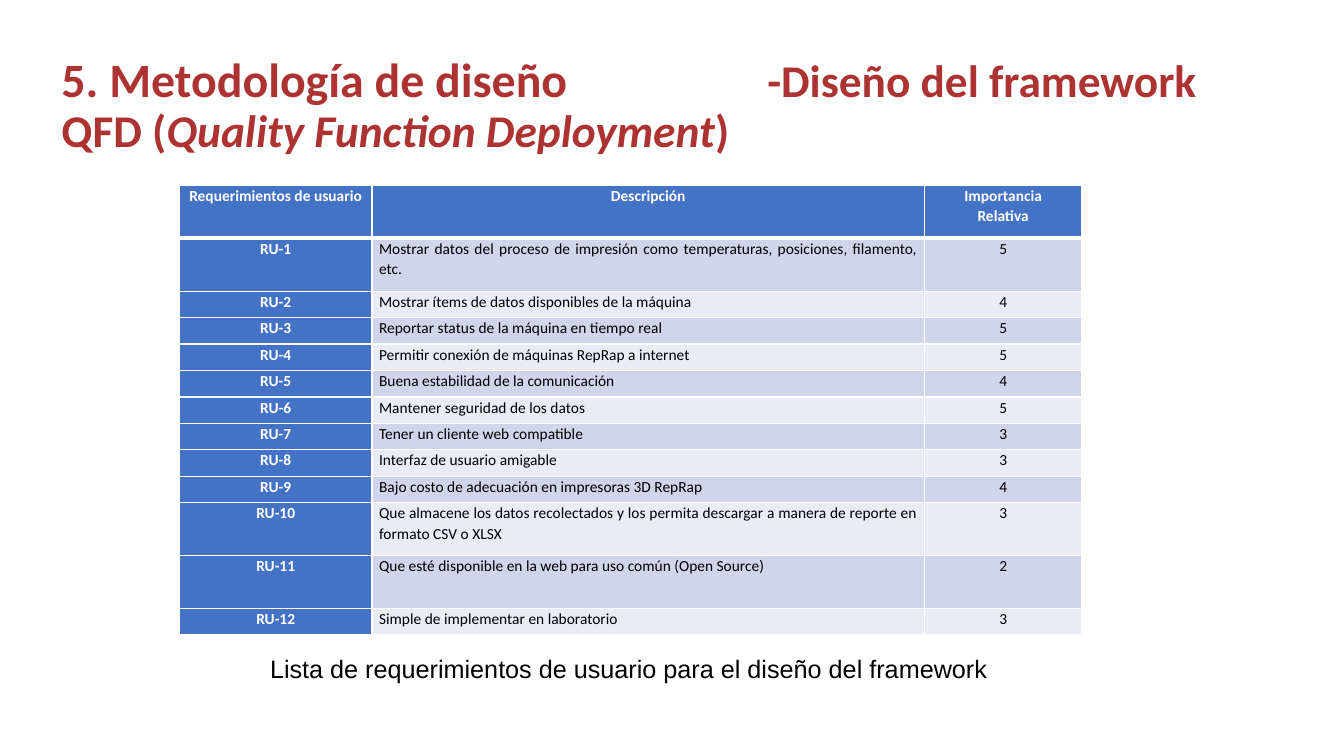
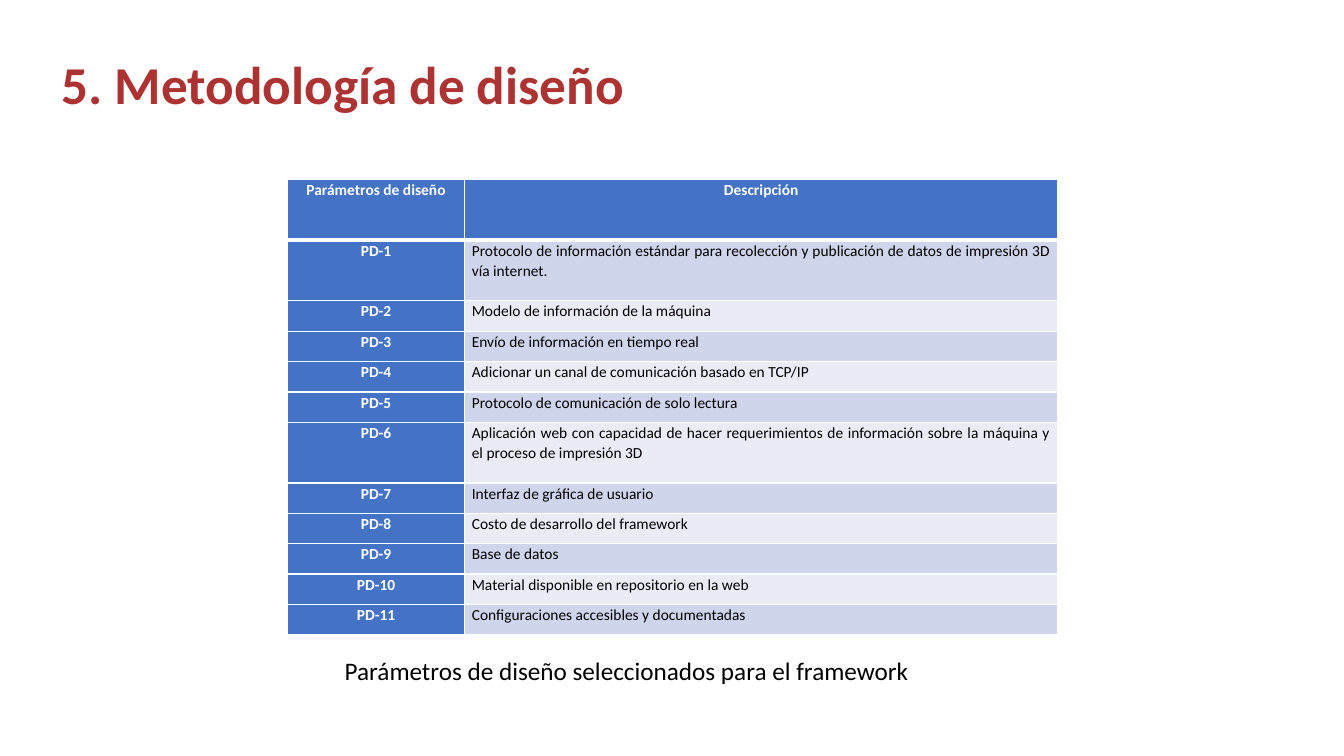
from dataclasses import dataclass

from lxml.etree import SubElement as Sub
from pptx import Presentation
from pptx.dml.color import RGBColor as RGB
from pptx.enum.text import MSO_ANCHOR as Anchor, MSO_AUTO_SIZE as Fit, PP_ALIGN as Align
from pptx.oxml.ns import qn
from pptx.util import Inches, Pt


@dataclass(frozen=True)
class Theme:
    red: str = "AD3333"
    blue: str = "4472C4"
    bands: tuple = ("CFD5EA", "E9EBF5")
    white: str = "FFFFFF"
    black: str = "000000"
    font: str = "Calibri"
    cell: float = 11
    note: float = 18
    thin: float = 1
    thick: float = 3


class Deck:
    def __init__(self, theme):
        self.theme = theme
        self.prs = Presentation()
        self.prs.slide_width = Inches(13.33)
        self.prs.slide_height = Inches(7.5)
        self.slide = None

    def run(self, para, text, size, color, bold=False, italic=False, font=None):
        run = para.add_run()
        run.text = text
        face = run.font
        face.name = font or self.theme.font
        face.size = Pt(size)
        face.bold = bold
        face.italic = italic
        face.color.rgb = RGB.from_string(color)

    def title(self, top, lines, tab=None):
        """Start a slide; each title line is a list of (text, size, italic)."""
        self.slide = self.prs.slides.add_slide(self.prs.slide_layouts[5])
        box = self.slide.shapes.title
        box.left, box.top = Inches(0.51), Inches(top)
        box.width, box.height = Inches(11.5), Inches(0.74)
        frame = box.text_frame
        frame.auto_size = Fit.NONE
        frame.word_wrap = True
        frame.vertical_anchor = Anchor.BOTTOM
        para = frame.paragraphs[0]
        if tab:
            stops = Sub(para._p.get_or_add_pPr(), qn("a:tabLst"))
            Sub(stops, qn("a:tab"), pos=str(Inches(tab)), algn="l")
        para.alignment = Align.LEFT
        para.line_spacing = 0.9
        for i, line in enumerate(lines):
            if i:
                para.add_line_break()
            for text, size, italic in line:
                self.run(para, text, size, self.theme.red, True, italic)

    def note(self, left, top, width, text, font=None):
        box = self.slide.shapes.add_textbox(
            Inches(left), Inches(top), Inches(width), Inches(0.4))
        frame = box.text_frame
        frame.word_wrap = True
        frame.auto_size = Fit.SHAPE_TO_FIT_TEXT
        self.run(frame.paragraphs[0], text, self.theme.note, self.theme.black, font=font)

    def edges(self, cell, row):
        """Draw white borders, thick between the head and the first row."""
        look = self.theme
        wide = {"lnT": row == 1, "lnB": row == 0}
        props = cell._tc.get_or_add_tcPr()
        for side in ("lnL", "lnR", "lnT", "lnB"):
            size = look.thick if wide.get(side) else look.thin
            line = Sub(props, qn(f"a:{side}"), w=str(Pt(size)))
            Sub(Sub(line, qn("a:solidFill")), qn("a:srgbClr"), val=look.white)

    def cell(self, cell, row, col, text):
        look = self.theme
        head = row == 0 or col == 0
        self.edges(cell, row)
        cell.fill.solid()
        cell.fill.fore_color.rgb = RGB.from_string(
            look.blue if head else look.bands[(row - 1) % 2])
        cell.margin_left = cell.margin_right = Inches(0.07)
        cell.margin_top = cell.margin_bottom = 0
        frame = cell.text_frame
        for i, part in enumerate(text.split("\n")):
            para = frame.add_paragraph() if i else frame.paragraphs[0]
            para.alignment = Align.JUSTIFY if col == 1 and not head else Align.CENTER
            para.line_spacing = 1.07
            self.run(para, part, look.cell, look.white if head else look.black, head)

    def table(self, left, top, height, cols, rows, tall):
        """Add a table whose rows listed in tall are twice as high as the rest."""
        unit = height / (len(rows) + len(tall))
        grid = self.slide.shapes.add_table(
            len(rows), len(cols), Inches(left), Inches(top),
            Inches(sum(cols)), Inches(height)).table
        grid.horz_banding = False
        for col, width in zip(grid.columns, cols):
            col.width = Inches(width)
        for r, row in enumerate(rows):
            grid.rows[r].height = Inches(unit * (2 if r in tall else 1))
            for c, text in enumerate(row):
                self.cell(grid.cell(r, c), r, c, text)


def code(mark, items):
    """Put a numbered code in front of each row."""
    return [(f"{mark}-{n}", *item) for n, item in enumerate(items, 1)]


NEEDS = [
    ("Mostrar datos del proceso de impresión como temperaturas, posiciones, filamento, etc.", "5"),
    ("Mostrar ítems de datos disponibles de la máquina", "4"),
    ("Reportar status de la máquina en tiempo real", "5"),
    ("Permitir conexión de máquinas RepRap a internet", "5"),
    ("Buena estabilidad de la comunicación", "4"),
    ("Mantener seguridad de los datos", "5"),
    ("Tener un cliente web compatible", "3"),
    ("Interfaz de usuario amigable", "3"),
    ("Bajo costo de adecuación en impresoras 3D RepRap", "4"),
    ("Que almacene los datos recolectados y los permita descargar a manera de reporte "
     "en formato CSV o XLSX", "3"),
    ("Que esté disponible en la web para uso común (Open Source)", "2"),
    ("Simple de implementar en laboratorio", "3"),
]

PARAMS = [
    ("Protocolo de información estándar para recolección y publicación de datos "
     "de impresión 3D vía internet.",),
    ("Modelo de información de la máquina",),
    ("Envío de información en tiempo real",),
    ("Adicionar un canal de comunicación basado en TCP/IP",),
    ("Protocolo de comunicación de solo lectura",),
    ("Aplicación web con capacidad de hacer requerimientos de información sobre "
     "la máquina y el proceso de impresión 3D",),
    ("Interfaz de gráfica de usuario",),
    ("Costo de desarrollo del framework",),
    ("Base de datos",),
    ("Material disponible en repositorio en la web",),
    ("Configuraciones accesibles y documentadas",),
]


def main():
    deck = Deck(Theme())
    topic = "5. Metodología de diseño"

    deck.title(0.87, [
        [(topic + "\t", 34.2, False), ("-Diseño del framework", 32.4, False)],
        [("QFD (", 32.4, False), ("Quality Function Deployment", 32.4, True),
         (")", 32.4, False)],
    ], tab=7)
    head = ("Requerimientos de usuario", "Descripción", "Importancia\nRelativa")
    deck.table(1.78, 1.84, 4.46, (1.91, 5.48, 1.56),
               [head] + code("RU", NEEDS), {0, 1, 10, 11})
    deck.note(2.58, 6.43, 7.36,
              "Lista de requerimientos de usuario para el diseño del framework", "Arial")

    deck.title(0.46, [[(topic, 38, False)]])
    deck.note(3.32, 6.45, 5.87, "Parámetros de diseño seleccionados para el framework")
    head = ("Parámetros de diseño", "Descripción")
    deck.table(2.85, 1.78, 4.52, (1.76, 5.88), [head] + code("PD", PARAMS), {0, 1, 6})

    deck.prs.save("out.pptx")


if __name__ == "__main__":
    main()
